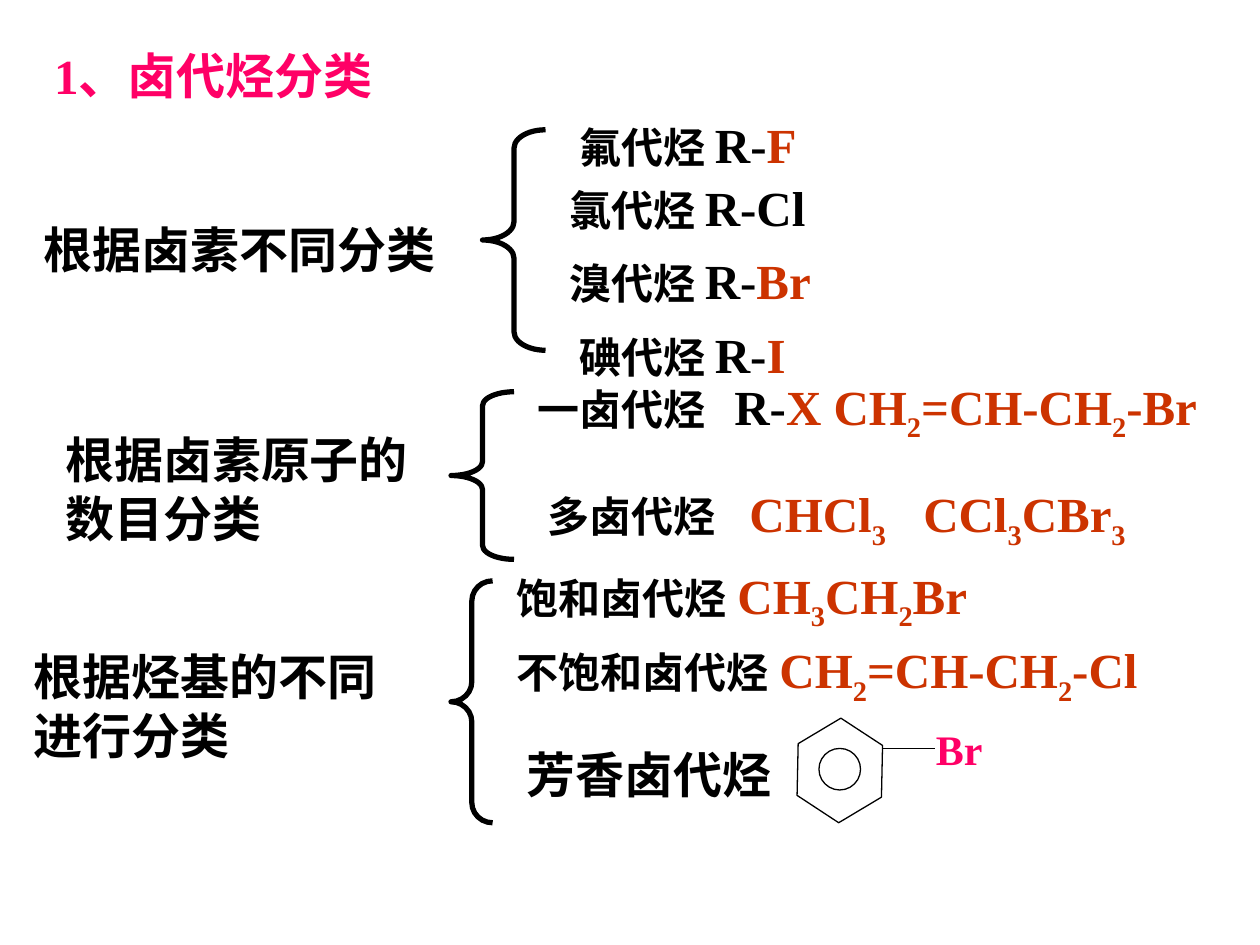
from itertools import groupby

from lxml.etree import SubElement
from pptx import Presentation
from pptx.dml.color import RGBColor
from pptx.enum.shapes import MSO_CONNECTOR, MSO_SHAPE
from pptx.enum.text import MSO_ANCHOR, MSO_AUTO_SIZE, PP_ALIGN
from pptx.oxml.ns import qn
from pptx.util import Inches, Pt

BLACK = RGBColor(0x00, 0x00, 0x00)
WHITE = RGBColor(0xFF, 0xFF, 0xFF)
PINK = RGBColor(0xFF, 0x00, 0x66)
RUST = RGBColor(0xCC, 0x33, 0x00)
FONT = "Times New Roman"

CRITERIA = [
    ("根据卤素不同分类", 0.25, 1.69, 3.42, 0.57),
    ("根据卤素原子的数目分类", 0.42, 3.36, 2.92, 1.04),
    ("根据烃基的不同进行分类", 0.17, 5.08, 3.25, 1.04),
]
BRACES = [
    (3.83, 1.03, 0.5, 1.75),
    (3.58, 3.11, 0.5, 1.33),
    (3.58, 4.61, 0.33, 1.92),
]
HALIDES = [
    ("氟代烃 ", "R-", "F", 4.5, 0.86, 2.58, 0.57, []),
    ("氯代烃 ", "R-Cl", "", 4.42, 1.36, 3.25, 0.57, []),
    ("溴代烃 ", "R-", "Br", 4.42, 1.94, 2.83, 0.57, []),
    ("碘代烃 ", "R-", "I", 4.5, 2.53, 4.17, 0.57, []),
    ("一卤代烃\t", "R-", "X CH2=CH-CH2-Br", 4.17, 2.94, 5.75, 0.63, [1.56]),
    ("多卤代烃", "\t", "CHCl3\tCCl3CBr3", 4.25, 3.79, 5.33, 0.63, [1.6, 2.98]),
    ("饱和卤代烃", " ", "CH3CH2Br", 4, 4.44, 5.42, 0.63, []),
    ("不饱和卤代烃", " ", "CH2=CH-CH2-Cl", 4, 5.03, 6, 0.63, []),
]


def place(shape, left, top, width, height):
    """Move and size a shape, in inches."""
    shape.left, shape.top = Inches(left), Inches(top)
    shape.width, shape.height = Inches(width), Inches(height)


def style_paragraph(paragraph, size, color):
    """Set the bold face that the slide uses."""
    font = paragraph.font
    font.name, font.size, font.bold = FONT, Pt(size), True
    font.color.rgb = color


def add_title(page, text):
    """Fill and place the title placeholder."""
    title = page.shapes.title
    place(title, 0.33, 0.31, 3.08, 0.57)
    frame = title.text_frame
    frame.text = text
    frame.vertical_anchor = MSO_ANCHOR.TOP
    frame.auto_size = MSO_AUTO_SIZE.NONE
    paragraph = frame.paragraphs[0]
    paragraph.alignment = PP_ALIGN.LEFT
    style_paragraph(paragraph, 28, PINK)


def add_box(page, left, top, width, height):
    """Add a wrapping text box and return its paragraph."""
    box = page.shapes.add_textbox(0, 0, 0, 0)
    place(box, left, top, width, height)
    frame = box.text_frame
    frame.word_wrap = True
    frame.auto_size = MSO_AUTO_SIZE.SHAPE_TO_FIT_TEXT
    return frame.paragraphs[0]


def add_label(page, text, left, top, width, height, size=28, color=BLACK):
    """Add a label in one style."""
    paragraph = add_box(page, left, top, width, height)
    paragraph.text = text
    style_paragraph(paragraph, size, color)


def add_tabs(paragraph, stops):
    """Add left tab stops, in inches."""
    tabs = SubElement(paragraph._p.get_or_add_pPr(), qn("a:tabLst"))
    for stop in stops:
        SubElement(tabs, qn("a:tab"), pos=str(Inches(stop)), algn="l")


def add_formula(paragraph, formula):
    """Add a coloured formula with its digits lowered."""
    for lowered, letters in groupby(formula, str.isdigit):
        span = paragraph.add_run()
        span.text = "".join(letters)
        span.font.color.rgb = RUST
        if lowered:
            span.font._element.set("baseline", "-25000")


def add_halide(page, name, stem, formula, left, top, width, height, stops):
    """Add a class of halides with its formula."""
    paragraph = add_box(page, left, top, width, height)
    if stops:
        add_tabs(paragraph, stops)
    style_paragraph(paragraph, 28, BLACK)
    span = paragraph.add_run()
    span.text = name
    span.font.size = Pt(24)
    paragraph.add_run().text = stem
    add_formula(paragraph, formula)


def add_outline(page, kind, left, top, width, height, weight):
    """Add a black outlined shape without shadow."""
    shape = page.shapes.add_shape(kind, 0, 0, 0, 0)
    place(shape, left, top, width, height)
    shape.shadow.inherit = False
    shape.line.color.rgb = BLACK
    shape.line.width = Pt(weight)
    return shape


def add_brace(page, left, top, width, height):
    """Add a left brace whose bends take a twelfth of its height."""
    brace = add_outline(page, MSO_SHAPE.LEFT_BRACE, left, top, width, height, 3)
    brace.fill.background()
    brace.adjustments[0] = height / 12 / width


def add_bromobenzene(page):
    """Draw the benzene ring with its bromine bond."""
    ring = add_outline(page, MSO_SHAPE.HEXAGON, 6.25, 5.78, 0.83, 0.67, 0.75)
    ring.rotation = 91.2
    ring.adjustments[0] = 0.313
    circle = add_outline(page, MSO_SHAPE.OVAL, 6.5, 5.94, 0.33, 0.33, 0.75)
    for shape in (ring, circle):
        shape.fill.solid()
        shape.fill.fore_color.rgb = WHITE
    bond = page.shapes.add_connector(
        MSO_CONNECTOR.STRAIGHT, Inches(7), Inches(5.94), Inches(7.42), Inches(5.94)
    )
    bond.line.color.rgb = BLACK
    bond.line.width = Pt(0.75)
    SubElement(bond._element.spPr, qn("a:effectLst"))
    add_label(page, "Br", 7.33, 5.69, 0.58, 0.5, 24, PINK)


def main():
    """Build the slide on classes of halogenated hydrocarbons."""
    deck = Presentation()
    deck.slide_width, deck.slide_height = Inches(10), Inches(7.5)
    page = deck.slides.add_slide(deck.slide_layouts[5])
    add_title(page, "1、卤代烃分类")
    for criterion in CRITERIA:
        add_label(page, *criterion)
    for brace in BRACES:
        add_brace(page, *brace)
    for halide in HALIDES:
        add_halide(page, *halide)
    add_label(page, "芳香卤代烃", 4.08, 5.86, 5.42, 0.57)
    add_bromobenzene(page)
    deck.save("out.pptx")


if __name__ == "__main__":
    main()
